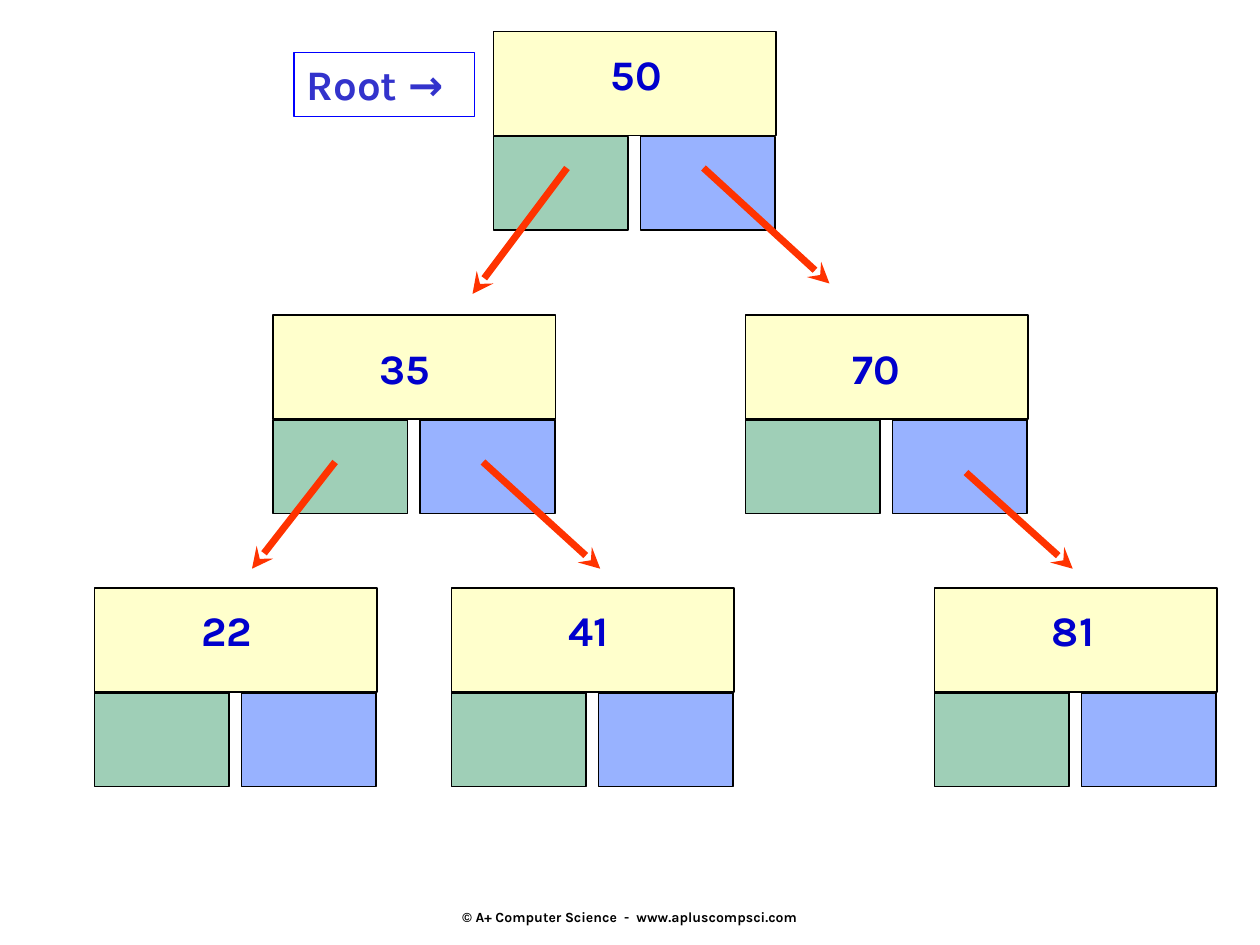
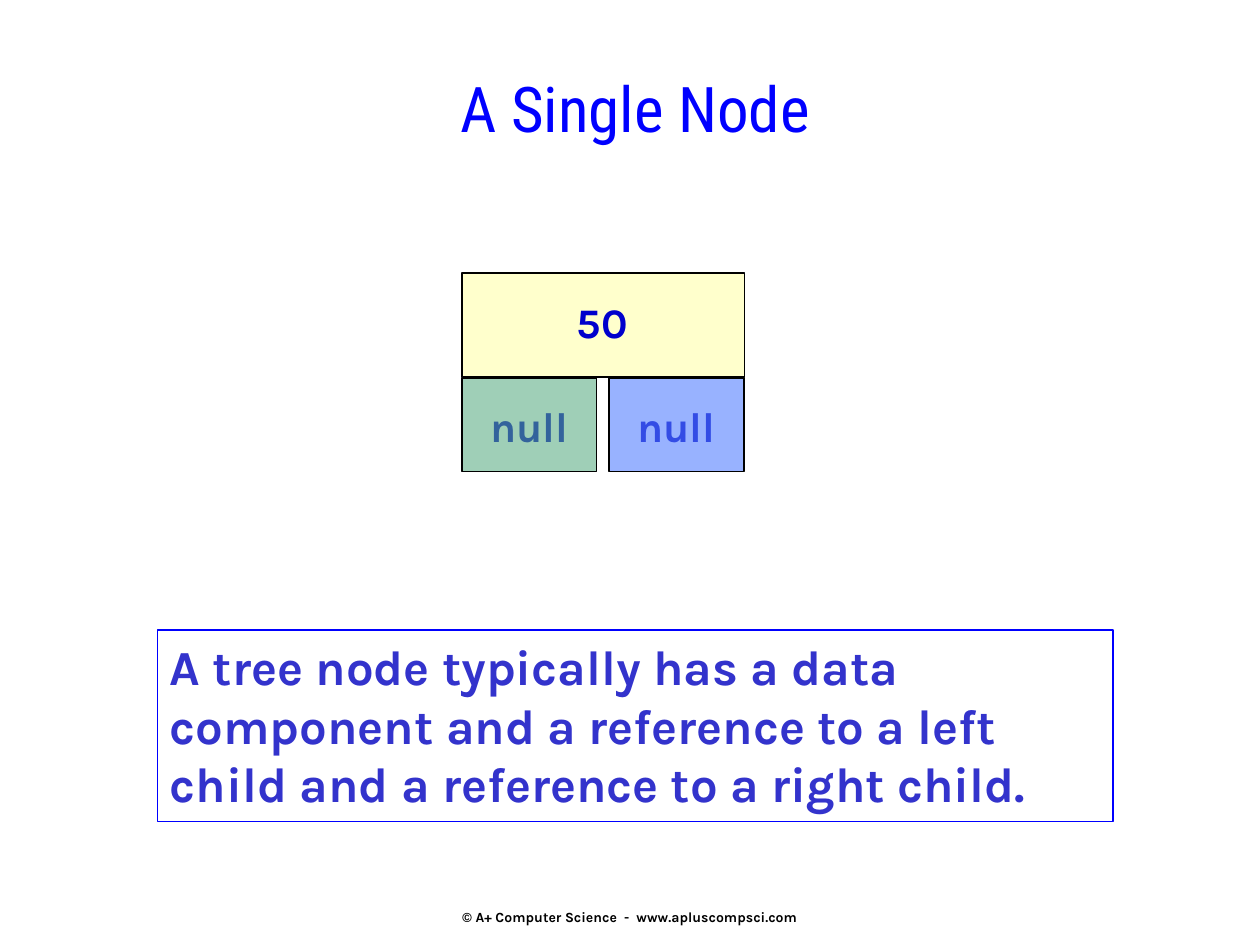
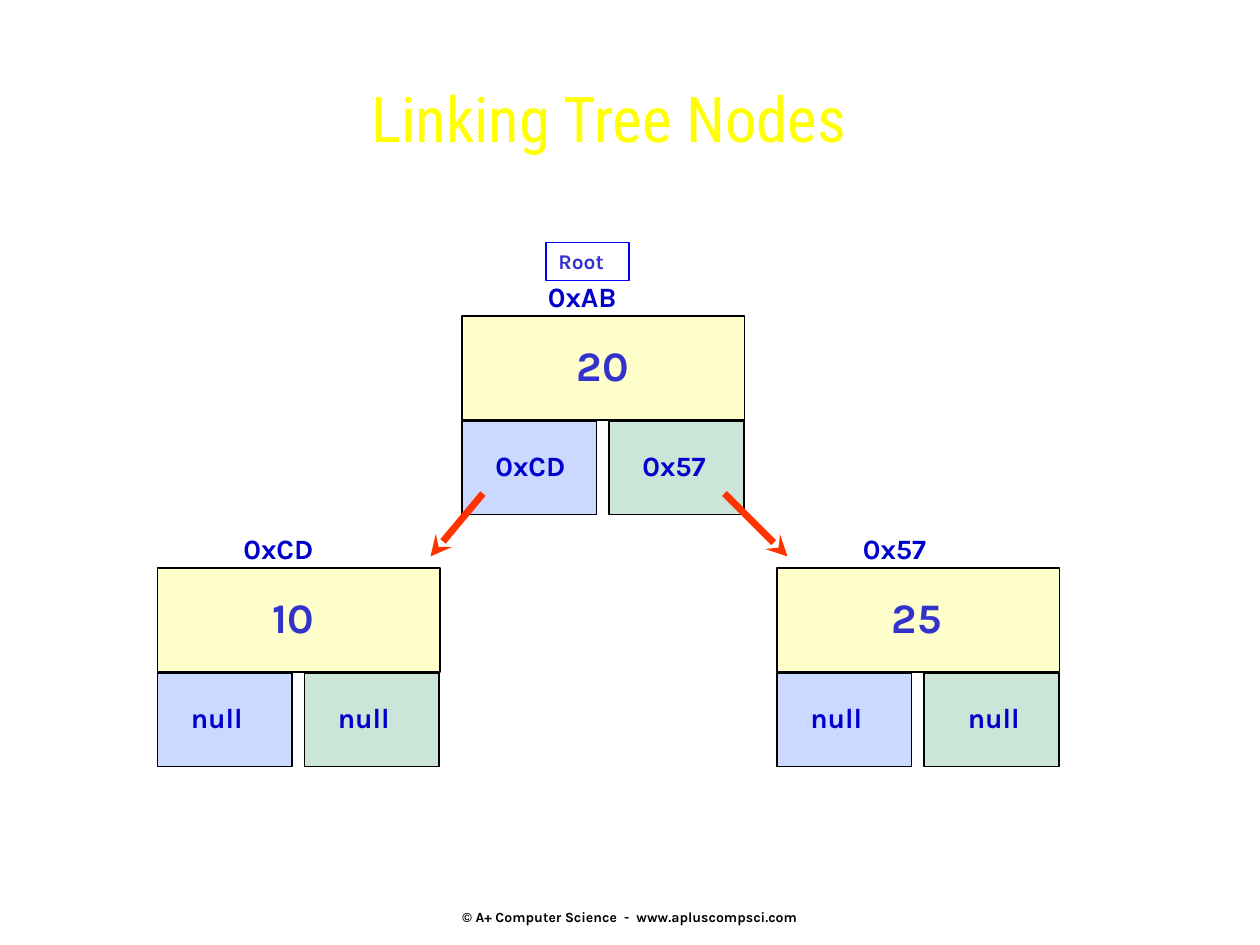
"""Build three slides about the nodes of a binary tree."""
from lxml.etree import SubElement
from pptx import Presentation
from pptx.dml.color import RGBColor
from pptx.enum.shapes import MSO_CONNECTOR, MSO_SHAPE
from pptx.enum.text import MSO_ANCHOR, PP_ALIGN
from pptx.oxml.ns import qn
from pptx.util import Pt

FONT, HEAD = "Karla", "Roboto Condensed"
NAVY, INDIGO, BLUE, YELLOW = "0000CC", "3333CC", "0000FF", "FFFF00"
CREAM, GREEN, SKY = "FFFFCC", "339966", "3366FF"
BLACK, RED = "000000", "FF3300"
FOOTER = "© A+ Computer Science  -  www.apluscompsci.com"
WIDE, HIGH, CELL, DEEP = 161.5, 59.5, 77, 53.5
DROP, STEP = 60, 84
tint = RGBColor.from_string


def block(page, left, top, width, height, fill=None, alpha=100, line=BLACK, weight=1):
    """Add a rectangle with an optional translucent fill."""
    shape = page.shapes.add_shape(MSO_SHAPE.RECTANGLE, Pt(left), Pt(top), Pt(width), Pt(height))
    shape.shadow.inherit = False
    if fill:
        shape.fill.solid()
        shape.fill.fore_color.rgb = tint(fill)
        if alpha < 100:
            tone = shape.element.spPr.find(".//" + qn("a:srgbClr"))
            SubElement(tone, qn("a:alpha")).set("val", str(alpha * 1000))
    else:
        shape.fill.background()
    shape.line.color.rgb = tint(line)
    shape.line.width = Pt(weight)
    return shape


def write(shape, text, size=24, color=NAVY, font=FONT, bold=True,
          align=PP_ALIGN.LEFT, anchor=MSO_ANCHOR.TOP):
    """Fill a shape with formatted text, one paragraph a line."""
    frame = shape.text_frame
    frame.text = text
    frame.word_wrap = True
    frame.vertical_anchor = anchor
    for para in frame.paragraphs:
        para.alignment = align
        para.font.size = Pt(size)
        para.font.name = font
        para.font.bold = bold
        para.font.color.rgb = tint(color)


deck = Presentation()
deck.slide_width, deck.slide_height = Pt(720), Pt(540)
tree, single, linked = pages = [deck.slides.add_slide(deck.slide_layouts[i]) for i in (6, 5, 5)]

for page in pages:
    note = page.shapes.add_textbox(Pt(246), Pt(506), Pt(228), Pt(36))
    write(note, FOOTER, size=8, color=BLACK, align=PP_ALIGN.CENTER, anchor=MSO_ANCHOR.MIDDLE)

titles = [
    (single, "A Single Node", BLUE, 66, 36, 594, 84),
    (linked, "Linking Tree Nodes", YELLOW, 66, 42, 564, 66),
]
for page, text, color, left, top, width, height in titles:
    title = page.shapes.title
    title.left, title.top, title.width, title.height = Pt(left), Pt(top), Pt(width), Pt(height)
    write(title, text, size=36, color=color, font=HEAD, bold=False, align=PP_ALIGN.CENTER)

for left in (273, 273 + STEP):
    write(single.shapes.add_textbox(Pt(left), Pt(225.5), Pt(72), Pt(36)), "null", color=INDIGO)

deep = (GREEN, 47), (SKY, 50)
pale = (SKY, 25), (GREEN, 25)
nodes = [
    (tree, "50", 282, 18, 60, 6, NAVY, deep),
    (tree, "35", 156, 180, 54, 12, NAVY, deep),
    (tree, "70", 426, 180, 54, 12, NAVY, deep),
    (tree, "22", 54, 336, 54, 6, NAVY, deep),
    (tree, "41", 258, 336, 60, 6, NAVY, deep),
    (tree, "81", 534, 336, 60, 6, NAVY, deep),
    (single, "50", 264, 156, 58.5, 10, NAVY, deep),
    (linked, "20", 264, 180.6, 58.5, 10, INDIGO, pale),
    (linked, "10", 90, 324.6, 58.5, 10, INDIGO, pale),
    (linked, "25", 444, 324.6, 58.5, 10, INDIGO, pale),
]
for page, value, left, top, right, down, color, fills in nodes:
    block(page, left, top, WIDE, HIGH, CREAM)
    for i, (fill, alpha) in enumerate(fills):
        block(page, left + i * STEP, top + DROP, CELL, DEEP, fill, alpha)
    label = page.shapes.add_textbox(Pt(left + right), Pt(top + down), Pt(48), Pt(36))
    write(label, value, color=color)

tags = [
    ("0xAB", 306, 156), ("0xCD", 276, 252.6), ("0x57", 360, 252.6),
    ("0xCD", 132, 300), ("null", 102, 396.6), ("null", 186, 396.6),
    ("0x57", 486, 300), ("null", 456, 396.6), ("null", 546, 396.6),
]
for text, left, top in tags:
    write(linked.shapes.add_textbox(Pt(left), Pt(top), Pt(78), Pt(26.5)), text, size=16)

write(block(tree, 168, 30, 103, 36.5, line=BLUE, weight=0.75), "Root →", color=INDIGO)
write(block(linked, 312, 138.5, 47.5, 22, line=BLUE, weight=0.75), "Root", size=12, color=INDIGO)
write(block(single, 90, 360, 546, 109.5, line=BLUE),
      "A tree node typically has a data\n"
      "component and a reference to a left child and a reference to a right child.",
      size=28, color=INDIGO)

arrows = [
    (tree, 324, 96, 270, 168),
    (tree, 402, 96, 474, 162),
    (tree, 191.5, 264, 144, 325),
    (tree, 276, 264, 343, 325),
    (tree, 552, 270, 613, 325),
    (linked, 276, 282, 246, 318),
    (linked, 414, 282, 450, 318),
]
for page, *ends in arrows:
    arrow = page.shapes.add_connector(MSO_CONNECTOR.STRAIGHT, *map(Pt, ends))
    arrow.line.color.rgb = tint(RED)
    arrow.line.width = Pt(4)
    props = arrow.element.spPr
    SubElement(props.find(qn("a:ln")), qn("a:tailEnd")).set("type", "stealth")
    SubElement(props, qn("a:effectLst"))

deck.save("out.pptx")
